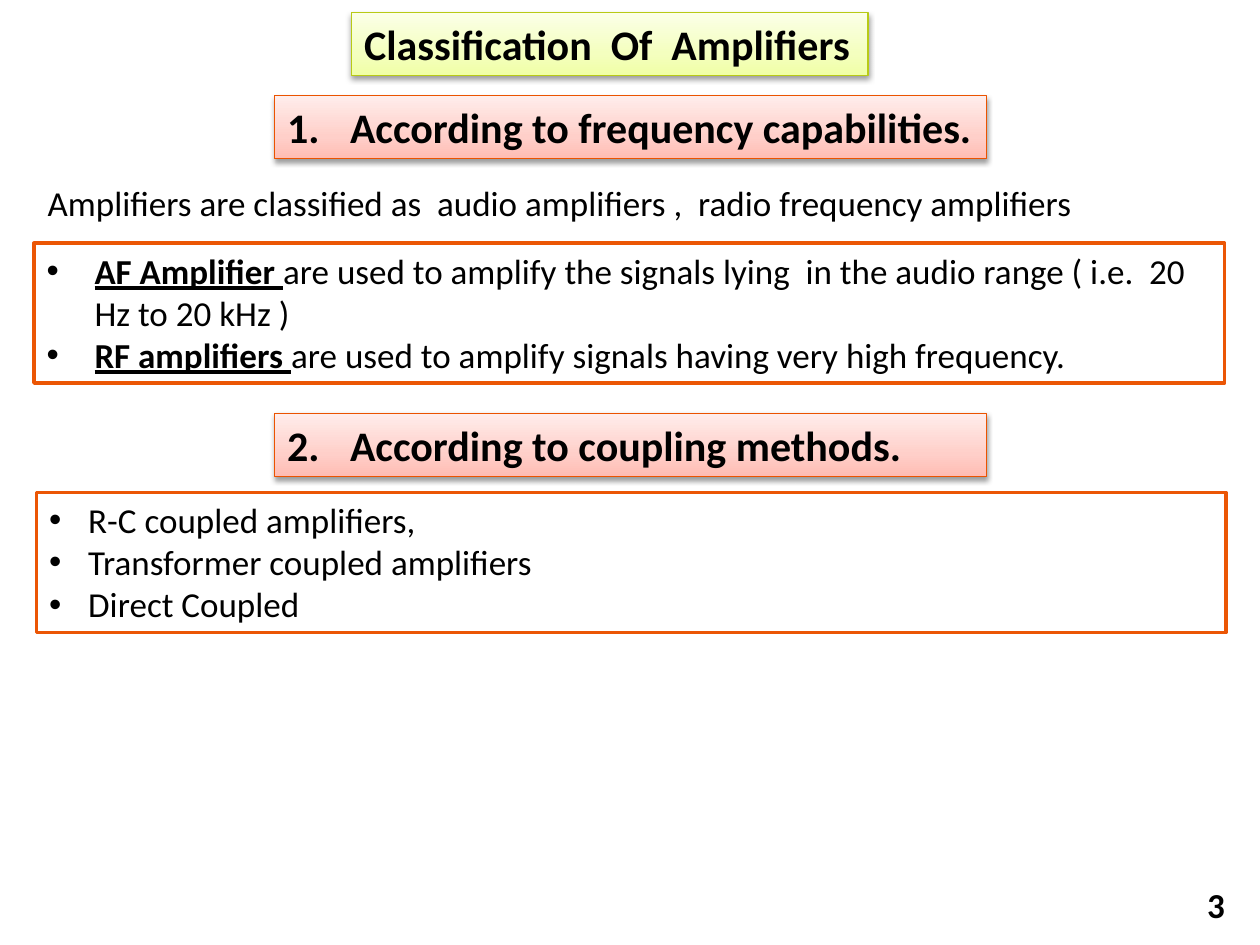
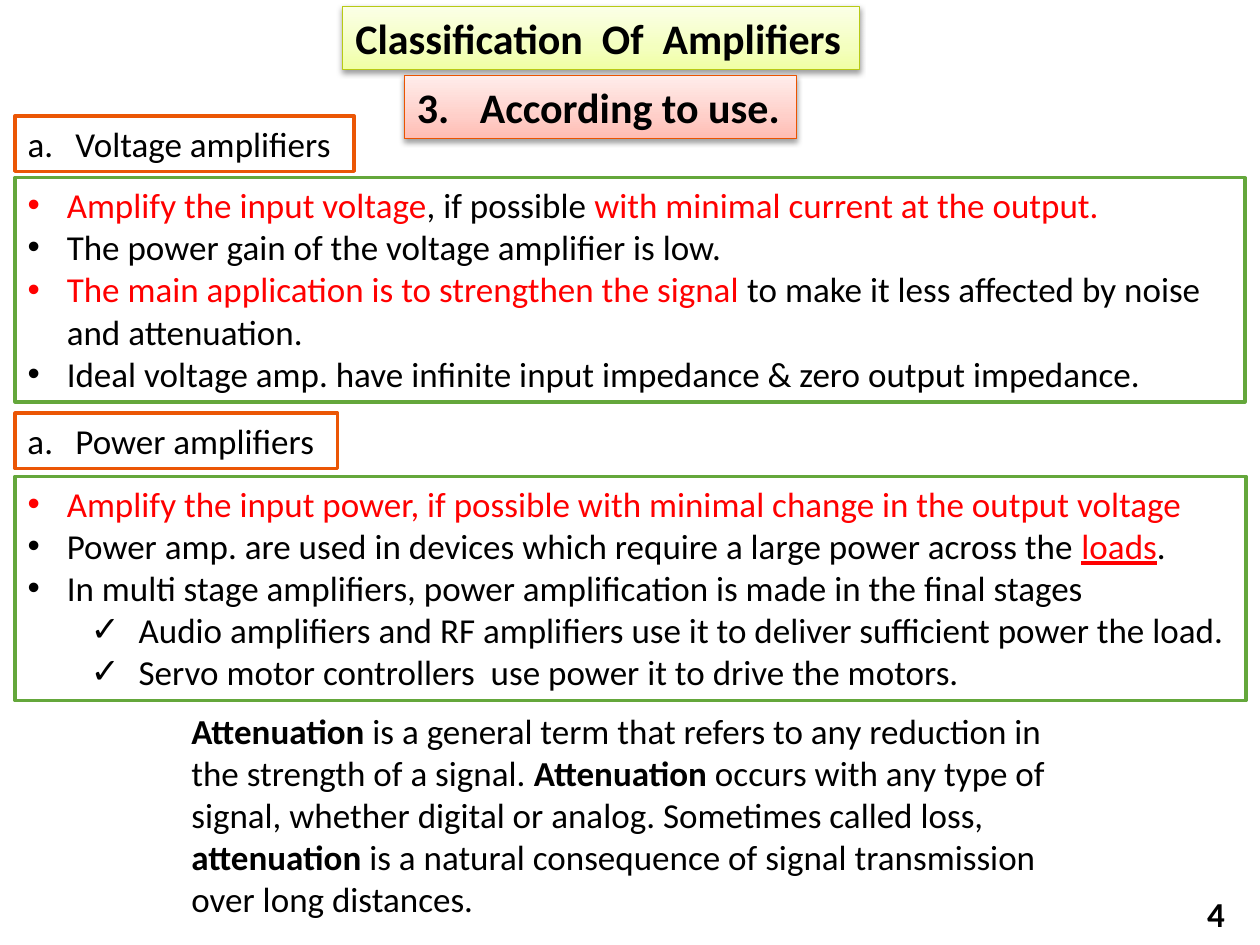
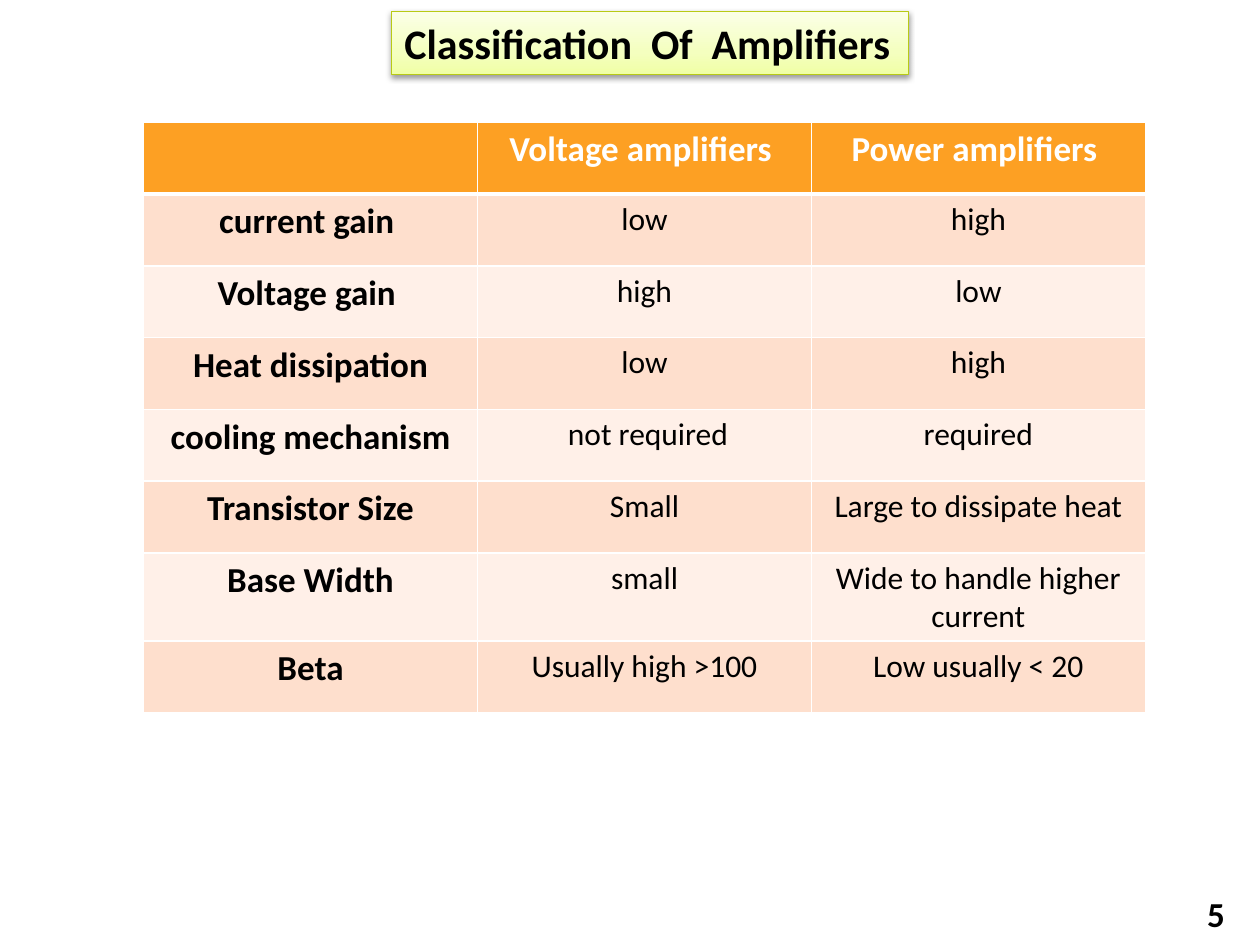
from lxml import etree
from pptx import Presentation
from pptx import util as u
from pptx.dml.color import RGBColor
from pptx.enum import shapes, text
from pptx.oxml.ns import qn

PX = 9144


class Theme:
    font = "Calibri"
    black, white, red = "000000", "FFFFFF", "FF0000"
    orange, green = "EB5605", "64A73B"
    head, rows = "FDA023", ("FEDFCD", "FFF0E8")
    size = {"band": 24, "body": 20, "cell": 18}
    lime = {"edge": "B8CA15", "stops": ("F0FFA5", "F4FFBF", "FBFFE7")}
    rose = {"edge": "EB5300", "stops": ("FFBCB3", "FFCFC9", "FFEDEB")}
    looks = {
        "plain": {},
        "bold": {"bold": True},
        "red": {"color": red},
        "link": {"color": red, "underline": True},
        "term": {"bold": True, "underline": True},
        "white": {"bold": True, "color": white},
    }
    marks = {
        "dot": (0, 31, 31, "•"),
        "wide": (0, 38, 38, "•"),
        "tick": (1, 88, 38, "✓"),
        "count": (0, 50, 50, "arabicPeriod"),
        "alpha": (0, 38, 38, "alphaLcPeriod"),
    }


def px(*nums):
    return [u.Emu(n * PX) for n in nums]


def put(obj, vals):
    for key, val in vals.items():
        setattr(obj, key, val)


def node(up, tag, **vals):
    return etree.SubElement(up, qn(tag), {k: str(v) for k, v in vals.items()})


def mark(para, name, start):
    level, left, hang, sign = Theme.marks[name]
    para.level = level
    props = para._p.get_or_add_pPr()
    for key, val in {"marL": left, "indent": -hang}.items():
        props.set(key, str(val * PX))
    if len(sign) > 1:
        node(props, "a:buFont", typeface="+mj-lt")
        node(props, "a:buAutoNum", type=sign, startAt=start)
    else:
        node(props, "a:buFont", typeface="Arial")
        node(props, "a:buChar", char=sign)


def write(frame, lines, size="body", align="LEFT", start=1):
    for i, (name, *runs) in enumerate(lines):
        para = frame.add_paragraph() if i else frame.paragraphs[0]
        put(para, {"alignment": text.PP_ALIGN[align],
                   "space_before": u.Pt(0), "space_after": u.Pt(0)})
        if name:
            mark(para, name, start)
        for look, words in runs:
            run = para.add_run()
            run.text = words
            vals = {"color": Theme.black, "bold": False, **Theme.looks[look]}
            run.font.color.rgb = RGBColor.from_string(vals.pop("color"))
            put(run.font, {"name": Theme.font, "size": u.Pt(Theme.size[size]), **vals})


def place(shape, at):
    put(shape, dict(zip(("left", "top", "width", "height"), px(*at))))


def fit(shape, wrap=True):
    put(shape.text_frame, {"word_wrap": wrap,
                           "auto_size": text.MSO_AUTO_SIZE.NONE,
                           "vertical_anchor": text.MSO_ANCHOR.TOP})


def edge(shape, color, width):
    shape.line.color.rgb = RGBColor.from_string(color)
    shape.line.width = u.Pt(width)
    shape.shadow.inherit = False


def glow(shape, tone):
    shape.fill.gradient()
    shape.fill.gradient_angle = 90
    edge(shape, tone["edge"], 0.75)
    props = shape._element.spPr
    stops = props.find(".//" + qn("a:gsLst"))
    for stop in list(stops):
        stops.remove(stop)
    for pos, color in zip((0, 35000, 100000), tone["stops"]):
        node(node(stops, "a:gs", pos=pos), "a:srgbClr", val=color)
    shade = node(props.find(qn("a:effectLst")), "a:outerShdw", blurRad=40000,
                 dist=20000, dir=5400000, rotWithShape=0)
    node(node(shade, "a:srgbClr", val=Theme.black), "a:alpha", val=38000)


def rect(slide, at):
    return slide.shapes.add_shape(shapes.MSO_SHAPE.RECTANGLE, *px(*at))


def frame(shape, color):
    shape.fill.solid()
    shape.fill.fore_color.rgb = RGBColor.from_string(Theme.white)
    edge(shape, color, 2)


def page(deck, layout, left, top, num, foot):
    slide = deck.slides.add_slide(deck.slide_layouts.get_by_name(layout))
    title = slide.shapes.title
    place(title, (left, top, 410, 50))
    glow(title, Theme.lime)
    fit(title, False)
    write(title.text_frame, [(None, ("bold", "Classification  Of  Amplifiers"))], "band")
    box = slide.shapes.add_textbox(*px(917, foot, 65, 40))
    put(box.text_frame, {"word_wrap": True, "vertical_anchor": text.MSO_ANCHOR.MIDDLE})
    write(box.text_frame, [(None, ("bold", num))], align="RIGHT")
    return slide


def band(slide, at, words, start, wrap=False):
    shape = rect(slide, at)
    glow(shape, Theme.rose)
    fit(shape, wrap)
    write(shape.text_frame, [("count", ("bold", words))], "band", start=start)


def label(slide, at, words):
    shape = rect(slide, at)
    frame(shape, Theme.orange)
    fit(shape, False)
    write(shape.text_frame, [("alpha", ("plain", words))])


def bullets(slide, slot, at, color, lines):
    shape = slide.placeholders[slot]
    place(shape, at)
    frame(shape, color)
    fit(shape)
    write(shape.text_frame, lines)


def note(slide, at, *runs):
    box = slide.shapes.add_textbox(*px(*at))
    fit(box)
    write(box.text_frame, [(None, *runs)])


def rule(cell, top, low):
    props = cell._tc.get_or_add_tcPr()
    for i, (side, width) in enumerate((("L", 1), ("R", 1), ("T", top), ("B", low))):
        line = etree.Element(qn("a:ln" + side), w=str(u.Pt(width)))
        node(node(line, "a:solidFill"), "a:srgbClr", val=Theme.white)
        props.insert(i, line)


def grid(slide, left, top, wide, high, data):
    count = len(data[0])
    table = slide.shapes.add_table(
        len(data), count, *px(left, top, wide * count, high * len(data))).table
    for r, row in enumerate(data):
        table.rows[r].height = px(high)[0]
        for c, words in enumerate(row):
            cell = table.cell(r, c)
            cell.fill.solid()
            color = Theme.rows[(r - 1) % 2] if r else Theme.head
            cell.fill.fore_color.rgb = RGBColor.from_string(color)
            rule(cell, 3 if r == 1 else 1, 1 if r else 3)
            look = "white" if not r else "plain" if c else "bold"
            size = "cell" if r and c else "body"
            if words:
                write(cell.text_frame, [(None, (look, words))], size, "CENTER")


def groups(deck):
    slide = page(deck, "Two Content", 279, 10, "3", 698)
    band(slide, (218, 76, 565, 50), "According to frequency capabilities.", 1)
    band(slide, (218, 328, 565, 50), "According to coupling methods.", 2, True)
    note(slide, (28, 139, 945, 44), (
        "plain", "Amplifiers are classified as  audio amplifiers ,  radio frequency amplifiers"))
    bullets(slide, 1, (27, 193, 945, 111), Theme.orange, [
        ("wide", ("term", "AF Amplifier "),
         ("plain", "are used to amplify the signals lying  in the audio range ( i.e.  20 Hz to 20 kHz )")),
        ("wide", ("term", "RF amplifiers "),
         ("plain", "are used to amplify signals having very high frequency."))])
    bullets(slide, 2, (29, 391, 944, 111), Theme.orange, [
        ("dot", ("plain", words)) for words in
        ("R-C coupled amplifiers,", "Transformer coupled amplifiers", "Direct Coupled")])


def uses(deck):
    slide = page(deck, "Two Content", 272, 5, "4", 705)
    band(slide, (321, 60, 311, 50), "According to use.", 3)
    label(slide, (12, 92, 269, 44), "Voltage amplifiers")
    label(slide, (12, 328, 256, 44), "Power amplifiers")
    bullets(slide, 1, (12, 141, 976, 178), Theme.green, [
        ("dot", ("red", "Amplify the input voltage"), ("plain", ", if possible "),
         ("red", "with minimal current at the output.")),
        ("dot", ("plain", "The power gain of the voltage amplifier is low.")),
        ("dot", ("red", "The main application is to strengthen the signal "),
         ("plain", "to make it less affected by noise and attenuation.")),
        ("dot", ("plain", "Ideal voltage amp. have infinite input impedance & zero output impedance."))])
    bullets(slide, 2, (12, 378, 977, 178), Theme.green, [
        ("dot", ("red", "Amplify the input power, if possible with minimal change in the output voltage")),
        ("dot", ("plain", "Power amp. are used in devices which require a large power across the "),
         ("link", "loads"), ("plain", ".")),
        ("dot", ("plain", "In multi stage amplifiers, power amplification is made in the final stages")),
        ("tick", ("plain", "Audio amplifiers and RF amplifiers use it to deliver sufficient power the load.")),
        ("tick", ("plain", "Servo motor controllers  use power it to drive the motors."))])
    note(slide, (142, 558, 708, 178),
         ("bold", "Attenuation"),
         ("plain", " is a general term that refers to any reduction in the strength of a signal. "),
         ("bold", "Attenuation"),
         ("plain", " occurs with any type of signal, whether digital or analog. Sometimes called loss, "),
         ("bold", "attenuation"),
         ("plain", " is a natural consequence of signal transmission over long distances."))


def versus(deck):
    slide = page(deck, "Title Only", 311, 9, "5", 705)
    grid(slide, 114, 97, 265, 57, [
        ("", "Voltage amplifiers ", "Power amplifiers "),
        ("current gain ", "low", "high"),
        ("Voltage gain ", "high", "low"),
        ("Heat dissipation", "low", "high"),
        ("cooling mechanism", " not required", "required"),
        ("Transistor Size", "Small", "Large to dissipate heat"),
        ("Base Width", "small", "Wide to handle higher current"),
        ("Beta", "Usually high >100", "Low usually < 20")])


def main():
    deck = Presentation()
    put(deck, dict(zip(("slide_width", "slide_height"), px(1000, 750))))
    for build in (groups, uses, versus):
        build(deck)
    deck.save("out.pptx")


if __name__ == "__main__":
    main()
